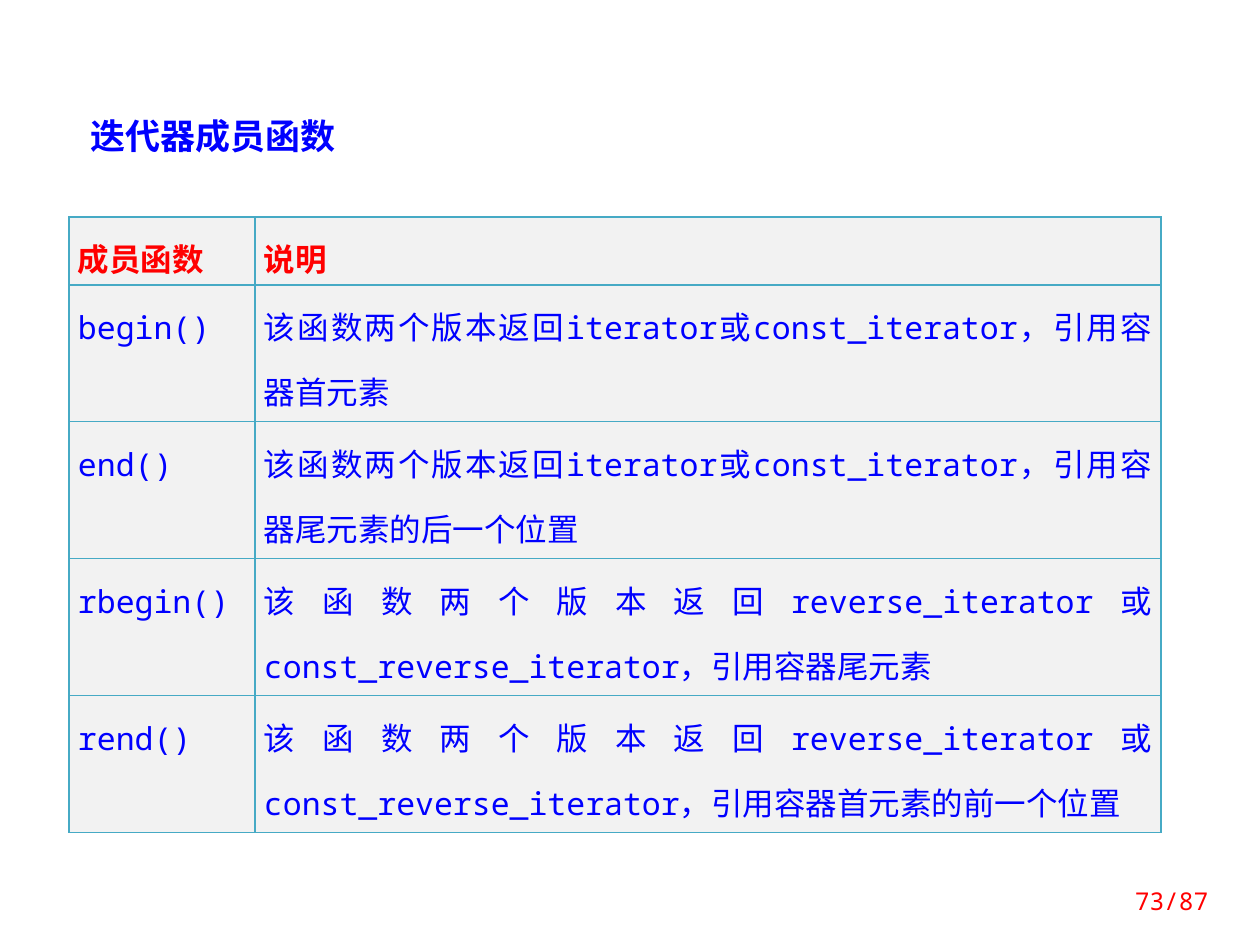
"""Build the slide that lists the iterator member functions of a container."""
import pptx
import pptx.dml.color
import pptx.enum.text
import pptx.oxml.ns
import pptx.util
from lxml import etree

PX = 914400 / 126
FONT = "Noto Sans Mono"
COLORS = {"blue": "0000FF", "red": "FF0000", "panel": "F2F2F2", "border": "46AAC5"}
ALIGN = pptx.enum.text.PP_ALIGN
ANCHOR = pptx.enum.text.MSO_ANCHOR
AUTO_SIZE = pptx.enum.text.MSO_AUTO_SIZE
qn = pptx.oxml.ns.qn

MEMBERS = [
    ("成员函数", "说明"),
    ("begin()", "该函数两个版本返回iterator或const_iterator，引用容器首元素"),
    ("end()", "该函数两个版本返回iterator或const_iterator，引用容器尾元素的后一个位置"),
    ("rbegin()", "该函数两个版本返回reverse_iterator或const_reverse_iterator，引用容器尾元素"),
    ("rend()", "该函数两个版本返回reverse_iterator或const_reverse_iterator，引用容器首元素的前一个位置"),
]


def px(length):
    """Turn a length in px into EMU."""
    return pptx.util.Emu(round(length * PX))


def rgb(name):
    """Look up a named colour."""
    return pptx.dml.color.RGBColor.from_string(COLORS[name])


def assign(target, values):
    """Set every attribute of target that values names."""
    for key, value in values.items():
        setattr(target, key, value)


class SlideBuilder:
    """Hold the style and the current slide."""

    def __init__(self, deck):
        """Add a slide that has only a title placeholder."""
        self.slide = deck.slides.add_slide(deck.slide_layouts[5])

    def paragraph(self, frame, wording, size, color, bold=False, **layout):
        """Put one formatted paragraph into a text frame."""
        line = frame.paragraphs[0]
        assign(line, layout)
        run = line.add_run()
        run.text = wording
        assign(run.font, {"name": FONT, "size": pptx.util.Pt(size), "bold": bold})
        run.font.color.rgb = rgb(color)
        etree.SubElement(run.font._element, qn("a:ea"), typeface=FONT)

    def title(self, wording, box):
        """Fill and place the title placeholder."""
        heading = self.slide.shapes.title
        assign(heading, dict(zip(("left", "top", "width", "height"), map(px, box))))
        assign(heading.text_frame, {"word_wrap": True, "vertical_anchor": ANCHOR.TOP,
                                    "auto_size": AUTO_SIZE.SHAPE_TO_FIT_TEXT})
        self.paragraph(heading.text_frame, wording, 20, "blue", True, alignment=ALIGN.LEFT)

    def page_number(self, wording, box):
        """Add the page count."""
        counter = self.slide.shapes.add_textbox(*map(px, box))
        assign(counter.text_frame, {"word_wrap": True, "vertical_anchor": ANCHOR.MIDDLE})
        self.paragraph(counter.text_frame, wording, 14, "red", alignment=ALIGN.RIGHT)

    def border(self, cell):
        """Draw a thin line on all four sides of a cell."""
        properties = cell._tc.get_or_add_tcPr()
        for side in ("L", "R", "T", "B"):
            line = etree.SubElement(properties, qn(f"a:ln{side}"), w=str(pptx.util.Pt(0.75)))
            fill = etree.SubElement(line, qn("a:solidFill"))
            etree.SubElement(fill, qn("a:srgbClr"), val=COLORS["border"])

    def table(self, rows, left, top, widths, heights):
        """Add the table with a header row."""
        grid = self.slide.shapes.add_table(
            len(rows), len(widths), px(left), px(top), px(sum(widths)), px(sum(heights))).table
        assign(grid, {"first_row": False, "horz_banding": False})
        for column, width in zip(grid.columns, widths):
            column.width = px(width)
        for index, (row, height) in enumerate(zip(grid.rows, heights)):
            row.height = px(height)
            header = index == 0
            for cell, wording in zip(row.cells, rows[index]):
                assign(cell, {"margin_left": px(9), "margin_right": px(9),
                              "margin_top": 0, "margin_bottom": 0})
                self.border(cell)
                cell.fill.solid()
                cell.fill.fore_color.rgb = rgb("panel")
                self.paragraph(cell.text_frame, wording, 18, "red" if header else "blue", header,
                               alignment=ALIGN.JUSTIFY, line_spacing=1.5)


def main():
    """Build and save the deck."""
    deck = pptx.Presentation()
    assign(deck, {"slide_width": px(1260), "slide_height": px(945)})
    builder = SlideBuilder(deck)
    builder.table(MEMBERS, 69, 217, [186, 906], [68] + [137] * 4)
    builder.title("迭代器成员函数", (78, 108, 630, 55))
    builder.page_number("73/87", (1092, 876, 129, 50))
    deck.save("out.pptx")


if __name__ == "__main__":
    main()
